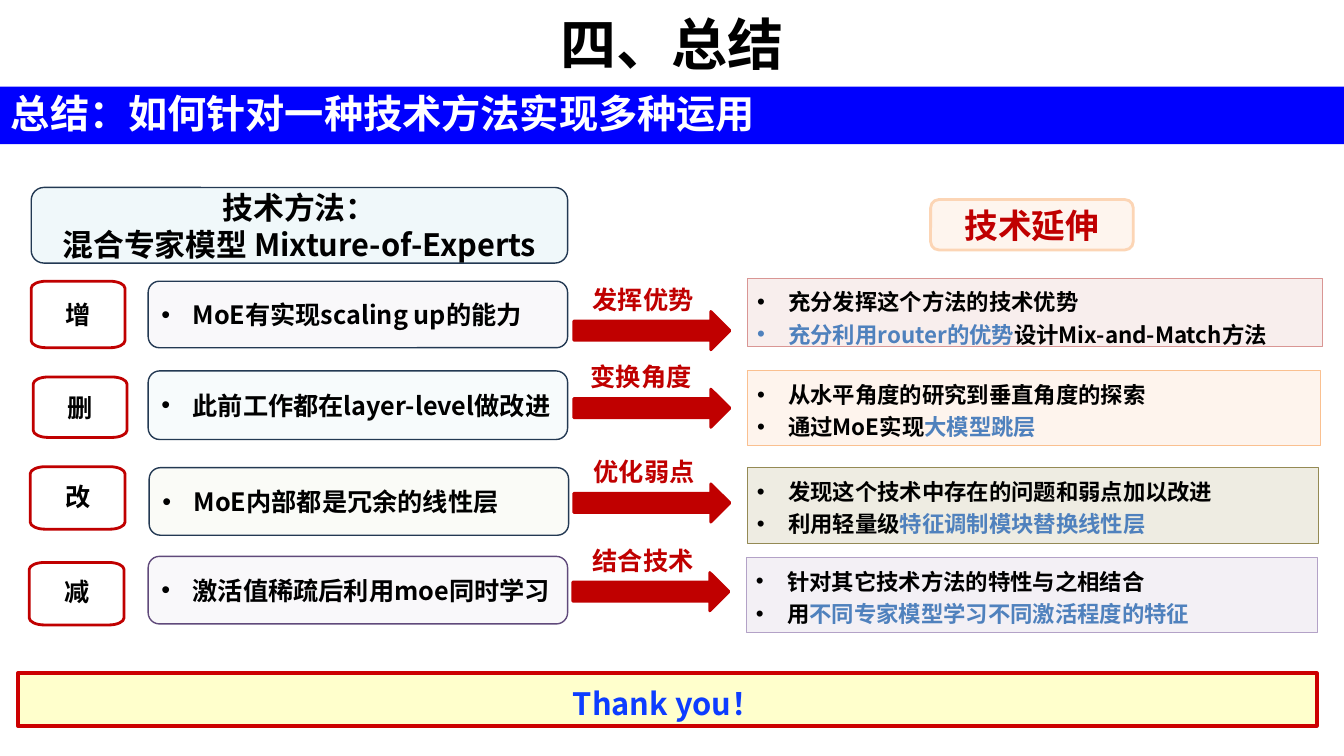
import pptx
import pptx.util
import pptx.dml.color
import pptx.enum.shapes
import pptx.enum.text
import lxml.etree
import pptx.oxml.ns

RGB = pptx.dml.color.RGBColor
KIND = pptx.enum.shapes.MSO_SHAPE
ALIGN = pptx.enum.text.PP_ALIGN
ANCHOR = pptx.enum.text.MSO_ANCHOR
qn = pptx.oxml.ns.qn
PX = 9144  # 100 px to the inch

SANS = "Noto Sans CJK SC"
BLACK = RGB(0, 0, 0)
WHITE = RGB(255, 255, 255)
BLUE = RGB(0x00, 0x00, 0xFE)
SKY = RGB(0x4F, 0x81, 0xBD)
RED = RGB(0xC0, 0x00, 0x00)
NAVY = RGB(0x23, 0x39, 0x53)
PLUM = RGB(0x60, 0x4A, 0x7B)
LILAC = RGB(0xE6, 0xE0, 0xEC)
AQUA = RGB(0xDB, 0xEE, 0xF4)
LIME = RGB(0xEB, 0xF1, 0xDE)
PEACH = RGB(0xFD, 0xEA, 0xDA)
SAND = RGB(0xFC, 0xD5, 0xB5)
ROSE = RGB(0xF2, 0xDC, 0xDB)
TAN = RGB(0xDD, 0xD9, 0xC3)
CREAM = RGB(0xFF, 0xFF, 0xCC)
FRAME = RGB(0xCC, 0x00, 0x00)
THANKS = RGB(0x0D, 0x3D, 0xFF)


def paint(shape, fill, alpha=100, line=None, width=1):
    """Set fill, opacity in percent and outline, with no shadow."""
    shape.shadow.inherit = False
    shape.fill.solid()
    shape.fill.fore_color.rgb = fill
    if alpha < 100:
        clr = shape._element.spPr.find(qn("a:solidFill"))[0]
        lxml.etree.SubElement(clr, qn("a:alpha")).set("val", str(alpha * 1000))
    if line is None:
        shape.line.fill.background()
    else:
        shape.line.color.rgb = line
        shape.line.width = pptx.util.Pt(width)


def write(shape, paras, size, color=BLACK, align=ALIGN.LEFT, anchor=ANCHOR.MIDDLE,
          space=None, bullet=False, face=SANS):
    """Fill a shape with paragraphs, each a list of (text, colour or None)."""
    frame = shape.text_frame
    frame.word_wrap = True
    frame.auto_size = pptx.enum.text.MSO_AUTO_SIZE.NONE
    frame.vertical_anchor = anchor
    for i, runs in enumerate(paras):
        para = frame.paragraphs[0] if i == 0 else frame.add_paragraph()
        para.alignment = align
        if space:
            para.line_spacing = space
        if bullet:
            props = para._p.get_or_add_pPr()
            props.set("marL", str(31 * PX))
            props.set("indent", str(-31 * PX))
            font = lxml.etree.SubElement(props, qn("a:buFont"))
            font.set("typeface", "Arial")
            lxml.etree.SubElement(props, qn("a:buChar")).set("char", "•")
        for text, tint in runs:
            run = para.add_run()
            run.text = text
            run.font.size = pptx.util.Pt(size)
            run.font.bold = True
            run.font.name = face
            run.font.color.rgb = tint or color
            east = lxml.etree.SubElement(run._r.get_or_add_rPr(), qn("a:ea"))
            east.set("typeface", SANS)


deck = pptx.Presentation()
deck.slide_width, deck.slide_height = 1333 * PX, 750 * PX
slide = deck.slides.add_slide(deck.slide_layouts[5])
shapes = slide.shapes

# Title and blue band
title = shapes.title
title.left, title.top, title.width, title.height = 0, 0, 1333 * PX, 86 * PX
write(title, [[("四、总结", None)]], 40, align=ALIGN.CENTER)

band = shapes.add_shape(KIND.RECTANGLE, 0, 86 * PX, 1333 * PX, 57 * PX)
paint(band, BLUE)
topic = shapes.add_textbox(1 * PX, 85 * PX, 1332 * PX, 55 * PX)
write(topic, [[("总结：如何针对一种技术方法实现多种运用", None)]], 28, WHITE,
      anchor=ANCHOR.BOTTOM)

# Column heads
head = shapes.add_shape(KIND.ROUNDED_RECTANGLE, 31 * PX, 186 * PX, 532 * PX, 75 * PX)
paint(head, AQUA, 40, NAVY)
write(head, [[("技术方法：", None)], [("混合专家模型 Mixture-of-Experts", None)]], 22,
      align=ALIGN.CENTER)

head = shapes.add_shape(KIND.ROUNDED_RECTANGLE, 923 * PX, 198 * PX, 201 * PX, 50 * PX)
paint(head, PEACH, 45, SAND, 2)
write(head, [[("技术延伸", None)]], 24, RED, ALIGN.CENTER)

# Rows: mark, method, arrow with label, extension
rows = [
    dict(mark=("增", 31, 279, 93, 66, 1.0),
         method=("MoE有实现scaling up的能力", 147, 279, 66, LILAC, NAVY),
         arrow=("发挥优势", SANS, 569, 309, 578),
         more=(741, 276, 571, 68, ROSE, RGB(0xD9, 0x96, 0x94)),
         lines=[[("充分发挥这个方法的技术优势", None)],
                [("充分利用router的优势", SKY), ("设计Mix-and-Match方法", None)]]),
    dict(mark=("删", 33, 374, 93, 60, 1.0),
         method=("此前工作都在layer-level做改进", 147, 368, 68, AQUA, NAVY),
         arrow=("变换角度", "Calibri", 569, 386, 576),
         more=(741, 368, 569, 74, PEACH, RGB(0xFA, 0xC0, 0x90)),
         lines=[[("从水平角度的研究到垂直角度的探索", None)],
                [("通过MoE实现", None), ("大模型跳层", SKY)]]),
    dict(mark=("改", 30, 463, 94, 62, 0.9),
         method=("MoE内部都是冗余的线性层", 148, 464, 67, LIME, NAVY),
         arrow=("优化弱点", "Calibri", 569, 480, 579),
         more=(741, 464, 567, 75, TAN, RGB(0x94, 0x8A, 0x54)),
         lines=[[("发现这个技术中存在的问题和弱点加以改进", None)],
                [("利用轻量级", None), ("特征调制模块替换线性层", SKY)]]),
    dict(mark=("减", 29, 558, 94, 62, 0.9),
         method=("激活值稀疏后利用moe同时学习", 147, 552, 67, LILAC, PLUM),
         arrow=("结合技术", "Calibri", 568, 568, 578),
         more=(740, 553, 567, 75, LILAC, RGB(0xB3, 0xA2, 0xC7)),
         lines=[[("针对其它技术方法的特性与之相结合", None)],
                [("用", None), ("不同专家模型学习不同激活程度的特征", SKY)]]),
]

RX, RY = 15, 7  # corner radii of the marks
BEND = 0.55     # pull of a curve towards its corner
for row in rows:
    text, x, y, w, h, space = row["mark"]
    pts = [(0, RY), (RX, 0), (w - RX, 0), (w, RY),
           (w, h - RY), (w - RX, h), (RX, h), (0, h - RY)]
    pen = shapes.build_freeform(x * PX, (y + RY) * PX)
    pen.add_line_segments([((x + a) * PX, (y + b) * PX) for a, b in pts[1:]], close=True)
    mark = pen.convert_to_shape()
    # Each corner segment becomes a curve
    sides = list(mark._element.spPr.iter(qn("a:lnTo")))
    for k in range(4):
        (ax, ay), (bx, by) = pts[2 * k], pts[2 * k + 1]
        cx, cy = (ax, by) if k % 2 == 0 else (bx, ay)
        curve = lxml.etree.Element(qn("a:cubicBezTo"))
        for px, py in ((ax + (cx - ax) * BEND, ay + (cy - ay) * BEND),
                       (bx + (cx - bx) * BEND, by + (cy - by) * BEND), (bx, by)):
            pt = lxml.etree.SubElement(curve, qn("a:pt"))
            pt.set("x", str(round(px * PX)))
            pt.set("y", str(round(py * PX)))
        side = sides[2 * k]
        side.getparent().replace(side, curve)
    paint(mark, WHITE, 100, RED, 2)
    write(mark, [[(text, None)]], 18, align=ALIGN.CENTER, space=space)
    frame = mark.text_frame
    frame.margin_left = frame.margin_right = 14 * PX
    frame.margin_top = frame.margin_bottom = 9 * PX

    text, x, y, h, fill, line = row["method"]
    method = shapes.add_shape(KIND.ROUNDED_RECTANGLE, x * PX, y * PX, 416 * PX, h * PX)
    paint(method, fill, 22, line)
    write(method, [[(text, None)]], 18, bullet=True)

    text, face, x, y, left = row["arrow"]
    arrow = shapes.add_shape(KIND.RIGHT_ARROW, x * PX, y * PX, 155 * PX, 38 * PX)
    paint(arrow, RED, 100, RED, 2)
    label = shapes.add_textbox(left * PX, (y - 32) * PX, 131 * PX, 40 * PX)
    write(label, [[(text, None)]], 18, RED, anchor=ANCHOR.TOP, face=face)

    x, y, w, h, fill, line = row["more"]
    more = shapes.add_shape(KIND.RECTANGLE, x * PX, y * PX, w * PX, h * PX)
    paint(more, fill, 48, line, 0.75)
    write(more, row["lines"], 16, anchor=ANCHOR.TOP, space=1.2, bullet=True)

# Closing bar
close = shapes.add_shape(KIND.RECTANGLE, 18 * PX, 668 * PX, 1288 * PX, 52 * PX)
paint(close, CREAM, 100, FRAME, 3)
write(close, [[("Thank you！", None)]], 22, THANKS, ALIGN.CENTER, space=1.2)
close.text_frame.margin_top = close.text_frame.margin_bottom = 4 * PX

deck.save("out.pptx")
